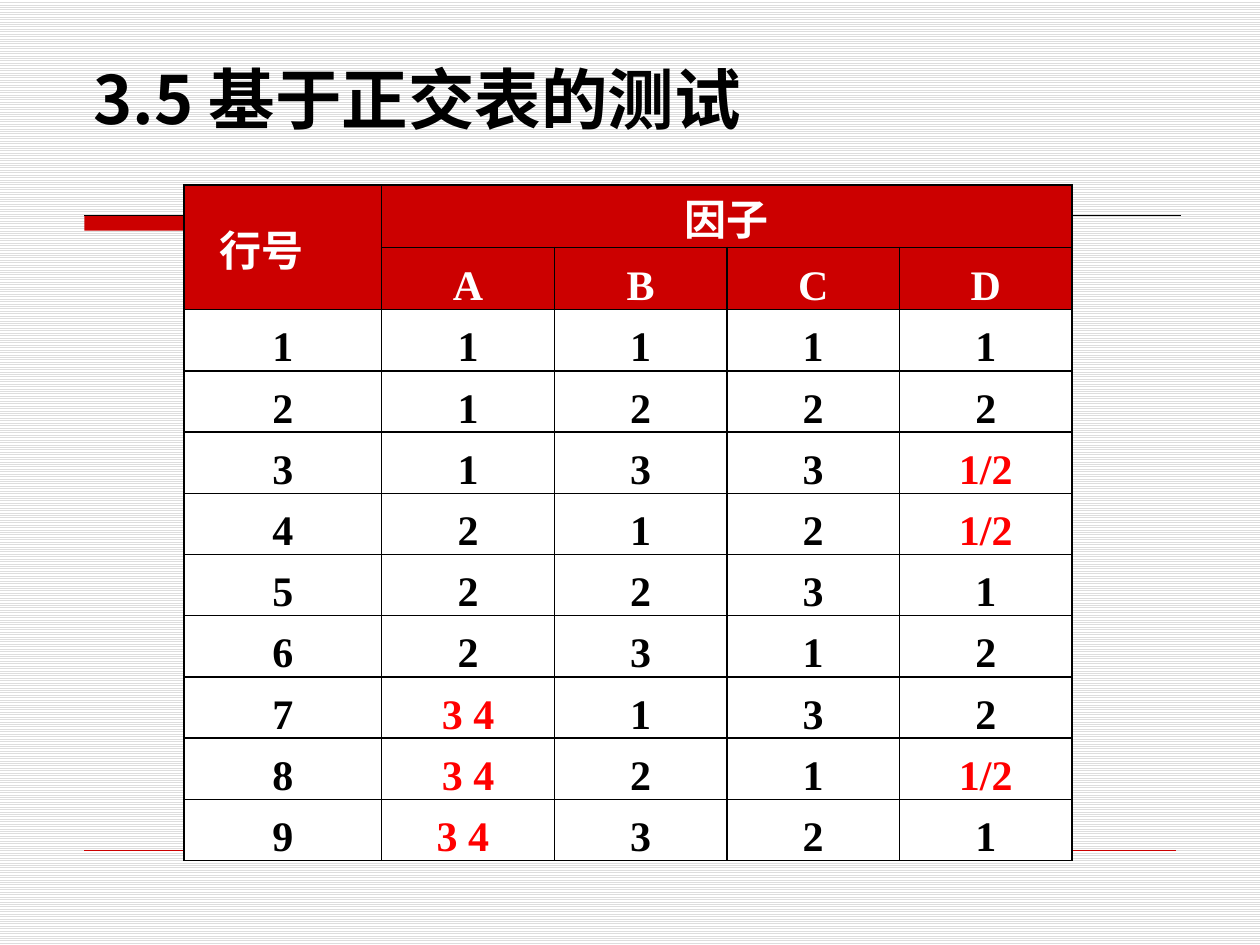
from dataclasses import dataclass

from lxml import etree
from pptx import Presentation
from pptx.dml.color import RGBColor
from pptx.enum.dml import MSO_PATTERN
from pptx.enum.shapes import MSO_CONNECTOR, MSO_SHAPE
from pptx.enum.text import MSO_ANCHOR, MSO_AUTO_SIZE, PP_ALIGN
from pptx.oxml.ns import qn
from pptx.util import Inches, Pt

STRIPES = MSO_PATTERN.LIGHT_HORIZONTAL
STRAIGHT = MSO_CONNECTOR.STRAIGHT
RECTANGLE = MSO_SHAPE.RECTANGLE
MIDDLE, BOTTOM = MSO_ANCHOR.MIDDLE, MSO_ANCHOR.BOTTOM
LEFT, CENTER = PP_ALIGN.LEFT, PP_ALIGN.CENTER


@dataclass(frozen=True)
class Theme:
    red: str = "CC0000"
    mark: str = "FF0000"
    black: str = "000000"
    white: str = "FFFFFF"
    stripe: str = "DDDDDD"
    title_font: str = "Noto Sans CJK SC"
    table_font: str = "Times New Roman"
    title_size: int = 38
    table_size: int = 24


THEME = Theme()
TITLE = "3.5 基于正交表的测试"
FACTORS = ["A", "B", "C", "D"]
# Factor levels of runs 1 to 9; a tuple is an automatic number and its text
RUNS = [
    ["1", "1", "1", "1"],
    ["1", "2", "2", "2"],
    ["1", "3", "3", "1/2"],
    ["2", "1", "2", "1/2"],
    ["2", "2", "3", "1"],
    ["2", "3", "1", "2"],
    [(3, "4"), "1", "3", "2"],
    [(3, "4"), "2", "1", "1/2"],
    ["3 4 ", "3", "2", "1"],
]
TABLE_LEFT, TABLE_TOP = 1.46, 1.47
HEAD_WIDTH, FACTOR_WIDTH, ROW_HEIGHT = 1.57, 1.37, 0.486
RULE_LEFT, RULE_TOP, RULE_BOTTOM = 0.67, 1.71, 6.75


def rgb(value):
    return RGBColor.from_string(value)


def style(p, font, size, color, align):
    p.alignment = align
    f = p.font
    f.name, f.size, f.bold = font, Pt(size), True
    f.color.rgb = rgb(color)
    props = p._p.pPr.find(qn("a:defRPr"))
    etree.SubElement(props, qn("a:ea")).set("typeface", THEME.title_font)


def add_background(s):
    fill = s.background.fill
    fill.patterned()
    fill.pattern = STRIPES
    fill.fore_color.rgb = rgb(THEME.stripe)
    fill.back_color.rgb = rgb(THEME.white)


def add_bar(s, left, top, width, height):
    sp = s.shapes.add_shape(
        RECTANGLE, Inches(left), Inches(top), Inches(width), Inches(height))
    sp.shadow.inherit = False
    sp.fill.solid()
    sp.fill.fore_color.rgb = rgb(THEME.red)
    sp.line.fill.background()


def add_rule(s, left, right, y, color, width):
    line = s.shapes.add_connector(
        STRAIGHT, Inches(left), Inches(y), Inches(right), Inches(y))
    line.line.color.rgb = rgb(color)
    line.line.width = Pt(width)
    etree.SubElement(line._element.spPr, qn("a:effectLst"))


def add_title(s):
    title = s.shapes.title
    title.left, title.top = Inches(0.64), Inches(0.2)
    title.width, title.height = Inches(8.75), Inches(0.94)
    tf = title.text_frame
    tf.text = TITLE
    tf.auto_size = MSO_AUTO_SIZE.NONE
    tf.vertical_anchor = BOTTOM
    style(tf.paragraphs[0], THEME.title_font, THEME.title_size, THEME.black, LEFT)


def add_borders(cell):
    props = cell._tc.get_or_add_tcPr()
    for i, side in enumerate(("lnL", "lnR", "lnT", "lnB")):
        line = etree.Element(qn(f"a:{side}"), w=str(Pt(1)))
        fill = etree.SubElement(line, qn("a:solidFill"))
        etree.SubElement(fill, qn("a:srgbClr")).set("val", THEME.black)
        props.insert(i, line)


def number_from(p, start):
    props = p._p.get_or_add_pPr()
    props.set("marL", str(Inches(0.25)))
    props.set("indent", str(-Inches(0.25)))
    etree.SubElement(
        props, qn("a:buAutoNum"), type="arabicPlain", startAt=str(start))


def fill_cell(cell, value, color, fill, anchor=BOTTOM):
    start, text = value if isinstance(value, tuple) else (None, value)
    cell.margin_left = cell.margin_right = cell.margin_top = Inches(0.01)
    cell.margin_bottom = 0
    cell.vertical_anchor = anchor
    cell.fill.solid()
    cell.fill.fore_color.rgb = rgb(fill)
    add_borders(cell)
    cell.text = text
    p = cell.text_frame.paragraphs[0]
    if start:
        number_from(p, start)
    style(p, THEME.table_font, THEME.table_size, color, CENTER)


def is_marked(value):
    """Levels that stand for more than one value are shown in red."""
    return len(value) > 1


def add_orthogonal_table(s):
    heads = [["行号　", "因子", "", "", ""], [""] + FACTORS]
    body = [[str(i)] + run for i, run in enumerate(RUNS, 1)]
    rows, cols = len(heads) + len(body), 1 + len(FACTORS)
    table = s.shapes.add_table(
        rows, cols, Inches(TABLE_LEFT), Inches(TABLE_TOP),
        Inches(HEAD_WIDTH + FACTOR_WIDTH * len(FACTORS)),
        Inches(ROW_HEIGHT * rows)).table
    for i, column in enumerate(table.columns):
        column.width = Inches(FACTOR_WIDTH if i else HEAD_WIDTH)
    for row in table.rows:
        row.height = Inches(ROW_HEIGHT)

    # Header rows
    for r, values in enumerate(heads):
        for c, value in enumerate(values):
            anchor = BOTTOM if c else MIDDLE
            fill_cell(table.cell(r, c), value, THEME.white, THEME.red, anchor)
    table.cell(0, 0).merge(table.cell(1, 0))
    table.cell(0, 1).merge(table.cell(0, cols - 1))

    # One row for each run
    for r, values in enumerate(body, len(heads)):
        for c, value in enumerate(values):
            color = THEME.mark if is_marked(value) else THEME.black
            fill_cell(table.cell(r, c), value, color, THEME.white)


def main():
    prs = Presentation()
    prs.slide_width, prs.slide_height = Inches(10), Inches(7.5)
    s = prs.slides.add_slide(prs.slide_layouts[5])
    add_background(s)
    # Decoration behind the table
    add_bar(s, RULE_LEFT, RULE_TOP, 5.09, 0.12)
    add_rule(s, RULE_LEFT, 9.37, RULE_TOP, THEME.black, 0.75)
    add_rule(s, RULE_LEFT, 9.33, RULE_BOTTOM, THEME.red, 0.25)
    # Content
    add_orthogonal_table(s)
    add_title(s)
    prs.save("out.pptx")


if __name__ == "__main__":
    main()
